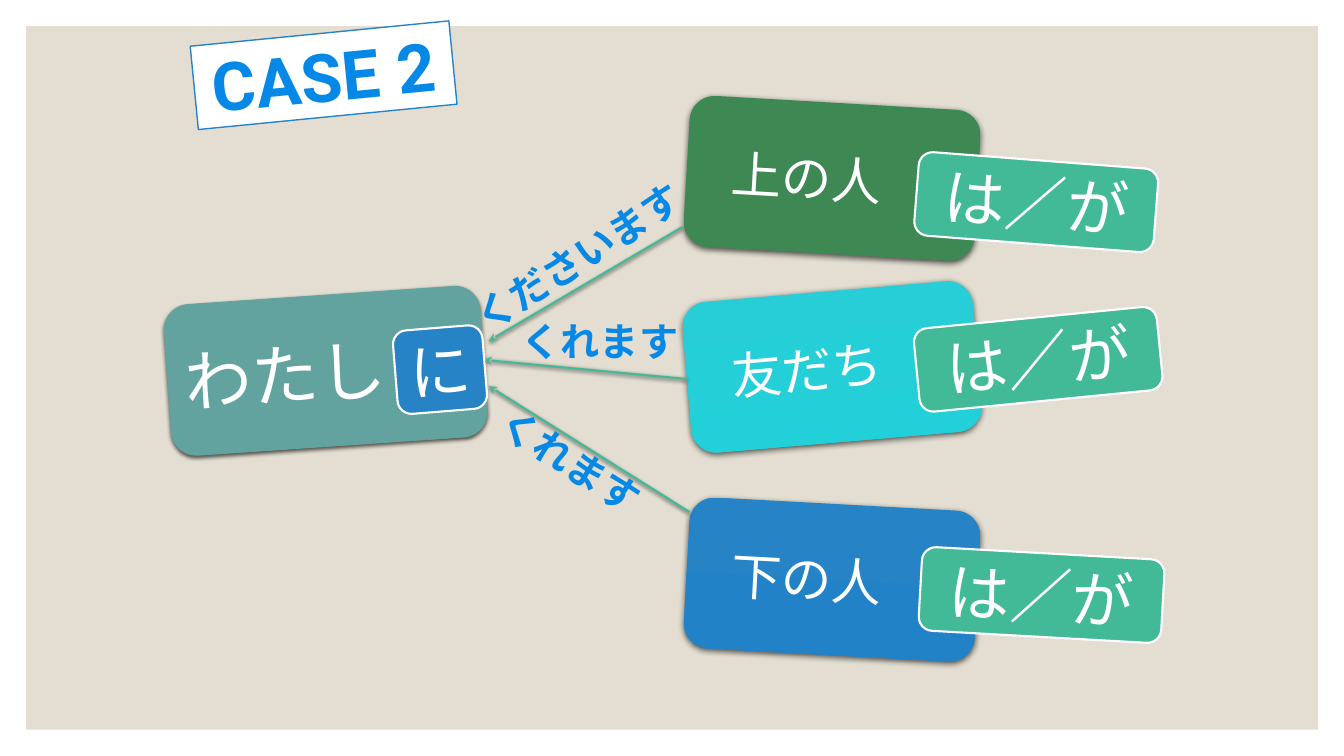
from dataclasses import dataclass
from typing import Optional

from lxml import etree
from pptx import Presentation
from pptx.dml import color as dml
from pptx.enum import shapes as kinds, text as layout
from pptx.oxml import ns
from pptx.util import Cm, Pt


@dataclass(frozen=True)
class Theme:
    paper: str = "E3DED1"
    white: str = "FFFFFF"
    accent: str = "0688E6"
    blue: str = "2683C6"
    mint: str = "42BA97"
    teal: tuple = ("62A39F", "60A4A0")
    green: tuple = ("3E8853", "3C8951")
    cyan: tuple = ("27CED7", "22D0D9")
    azure: tuple = ("2683C6", "2282C8")
    font: str = "Arial"
    title_font: str = "Roboto"
    large: float = 48
    particle: float = 44
    person: float = 36
    verb: float = 28


THEME = Theme()


@dataclass(frozen=True)
class Card:
    """A rounded box; lengths in centimetres, shadow as (blur, distance) in points."""
    runs: tuple
    left: float
    top: float
    width: float
    height: float
    rotation: float = 0
    fill: Optional[object] = None
    line: Optional[str] = None
    line_width: float = 1.5
    shadow: Optional[tuple] = None
    ink: str = THEME.white
    font: str = THEME.font
    bold: bool = False
    centred: bool = True


@dataclass(frozen=True)
class Arrow:
    tip: tuple
    tail: tuple


def rgb(value: str) -> dml.RGBColor:
    return dml.RGBColor.from_string(value)


def add_shadow(properties, blur: float, distance: float) -> None:
    effects = properties.find(ns.qn("a:effectLst"))
    if effects is None:
        effects = etree.SubElement(properties, ns.qn("a:effectLst"))
    outer = etree.SubElement(effects, ns.qn("a:outerShdw"), blurRad=str(Pt(blur)),
                             dist=str(Pt(distance)), dir="5400000", rotWithShape="0")
    black = etree.SubElement(outer, ns.qn("a:srgbClr"), val="000000")
    etree.SubElement(black, ns.qn("a:alpha"), val="63000")


def paint(shape, card: Card) -> None:
    if card.fill is None:
        shape.fill.background()
    elif isinstance(card.fill, tuple):
        shape.fill.gradient()
        shape.fill.gradient_angle = 270
        for stop, value in zip(shape.fill.gradient_stops, card.fill):
            stop.color.rgb = rgb(value)
    else:
        shape.fill.solid()
        shape.fill.fore_color.rgb = rgb(card.fill)
    if card.line is None:
        shape.line.fill.background()
    else:
        shape.line.color.rgb = rgb(card.line)
        shape.line.width = Pt(card.line_width)


def write(shape, card: Card) -> None:
    frame = shape.text_frame
    frame.word_wrap = True
    frame.vertical_anchor = layout.MSO_ANCHOR.MIDDLE
    paragraph = frame.paragraphs[0]
    paragraph.alignment = layout.PP_ALIGN.CENTER if card.centred else layout.PP_ALIGN.LEFT
    for words, size in card.runs:
        run = paragraph.add_run()
        run.text = words
        run.font.size = Pt(size)
        run.font.name = card.font
        run.font.bold = card.bold
        run.font.color.rgb = rgb(card.ink)


def add_card(slide, card: Card) -> None:
    shape = slide.shapes.add_shape(kinds.MSO_SHAPE.ROUNDED_RECTANGLE, Cm(card.left),
                                   Cm(card.top), Cm(card.width), Cm(card.height))
    shape.rotation = card.rotation
    shape.shadow.inherit = False
    paint(shape, card)
    if card.shadow:
        add_shadow(shape._element.spPr, *card.shadow)
    write(shape, card)


def add_title(slide, card: Card) -> None:
    title = slide.shapes.title
    title.left, title.top = Cm(card.left), Cm(card.top)
    title.width, title.height = Cm(card.width), Cm(card.height)
    title.rotation = card.rotation
    etree.SubElement(title._element.spPr, ns.qn("a:prstGeom"), prst="roundRect")
    paint(title, card)
    write(title, card)
    # Bring the title in front of the backdrop
    slide.shapes._spTree.append(title._element)


def add_arrow(slide, arrow: Arrow) -> None:
    ends = [Cm(length) for length in arrow.tip + arrow.tail]
    connector = slide.shapes.add_connector(kinds.MSO_CONNECTOR.STRAIGHT, *ends)
    connector.line.color.rgb = rgb(THEME.mint)
    connector.line.width = Pt(1.5)
    etree.SubElement(connector.line._get_or_add_ln(), ns.qn("a:headEnd"), type="stealth")
    add_shadow(connector._element.spPr, 3, 1)


def person(name: str, top: float, rotation: float, fill: tuple) -> Card:
    return Card(((name, THEME.person),), 17.3, top, 7.34, 3.81, rotation, fill,
                shadow=(4.5, 1.5))


def verb(words: str, left: float, top: float, width: float, rotation: float) -> Card:
    return Card(((words, THEME.verb),), left, top, width, 2.34, rotation,
                ink=THEME.accent, bold=True)


def particle(words: str, left: float, top: float, width: float, rotation: float,
             fill: str = THEME.mint) -> Card:
    return Card(((words, THEME.particle),), left, top, width, 2.11, rotation, fill, THEME.white)


TITLE = Card((("CASE 2", THEME.large),), 4.88, 0.84, 6.55, 2.11, -5.6, THEME.white,
             THEME.blue, 1, ink=THEME.accent, font=THEME.title_font, bold=True)
PEOPLE = [
    Card((("わたし", THEME.large), ("　", THEME.person)), 4.22, 7.44, 7.98, 3.81, -3.9,
         THEME.teal, THEME.teal[0], 0.5, (3, 1), centred=False),
    person("上の人　", 2.59, 3.3, THEME.green),
    person("友だち　", 7.34, -4.9, THEME.cyan),
    person("下の人　", 12.7, 3.1, THEME.azure),
]
ARROWS = [
    Arrow((12.32, 8.59), (17.2, 5.72)),
    Arrow((12.32, 9.73), (17.37, 12.9)),
    Arrow((12.19, 9.07), (17.3, 9.55)),
]
LABELS = [
    particle("に", 9.96, 8.26, 2.26, -4.6, THEME.blue),
    verb("くださいます", 9.58, 5.31, 9.98, -32.8),
    verb("くれます", 11.61, 10.44, 5.56, 32.9),
    verb("くれます", 10.13, 7.42, 9.98, 0),
    particle("は／が", 23.09, 4.04, 6.05, 4.4),
    particle("は／が", 23.09, 8, 6.15, -5.6),
    particle("は／が", 23.19, 13.94, 6.12, 3.2),
]


def main() -> None:
    presentation = Presentation()
    presentation.slide_width, presentation.slide_height = Cm(33.87), Cm(19.05)
    slide = presentation.slides.add_slide(presentation.slide_layouts[5])

    # Backdrop
    backdrop = slide.shapes.add_shape(kinds.MSO_SHAPE.RECTANGLE, Cm(0.66), Cm(0.66),
                                      Cm(32.56), Cm(17.73))
    backdrop.shadow.inherit = False
    backdrop.fill.solid()
    backdrop.fill.fore_color.rgb = rgb(THEME.paper)
    backdrop.line.fill.background()

    # Giving diagram
    for card in PEOPLE:
        add_card(slide, card)
    for arrow in ARROWS:
        add_arrow(slide, arrow)
    for card in LABELS:
        add_card(slide, card)

    # Title
    add_title(slide, TITLE)
    presentation.save("out.pptx")


if __name__ == "__main__":
    main()
